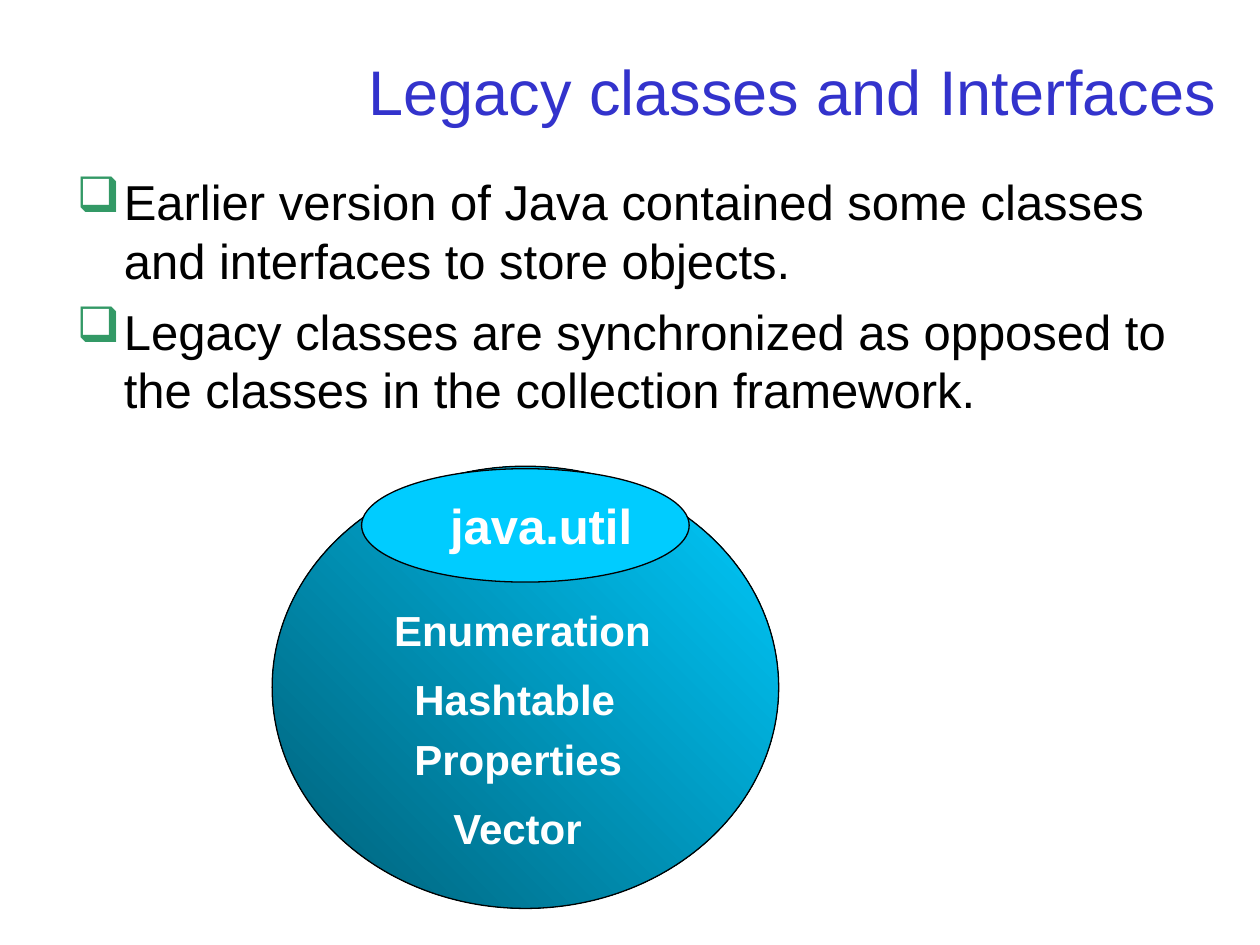
from dataclasses import dataclass

from lxml import etree
from pptx import Presentation
from pptx import util as u
from pptx.dml import color
from pptx.enum import shapes, text
from pptx.oxml import ns

FONT = "Arial"
COLOURS = {
    "title": "3333CC",
    "body": "000000",
    "bullet": "339966",
    "label": "FFFFFF",
    "outline": "000000",
    "deep": "005E76",
    "bright": "00CCFF",
}


@dataclass
class Frame:
    left: float
    top: float
    width: float
    height: float

    def lengths(self) -> list:
        return [u.Pt(v) for v in (self.left, self.top, self.width, self.height)]


@dataclass
class Caption:
    frame: Frame
    wording: str
    size: float
    colour: str
    bold: bool = False
    align: text.PP_ALIGN = text.PP_ALIGN.LEFT
    anchor: text.MSO_ANCHOR = text.MSO_ANCHOR.TOP


def rgb(name: str) -> color.RGBColor:
    return color.RGBColor.from_string(COLOURS[name])


def add_caption(page, caption: Caption):
    box = page.shapes.add_textbox(*caption.frame.lengths())
    frame = box.text_frame
    frame.word_wrap = True
    frame.vertical_anchor = caption.anchor
    frame.text = caption.wording
    for para in frame.paragraphs:
        para.alignment = caption.align
        for span in para.runs:
            span.font.name = FONT
            span.font.size = u.Pt(caption.size)
            span.font.bold = caption.bold
            span.font.color.rgb = rgb(caption.colour)
    return box


def add_bullets(box, indent: float, gap: float) -> None:
    for index, para in enumerate(box.text_frame.paragraphs):
        if index:
            para.space_before = u.Pt(gap)
        properties = para._p.get_or_add_pPr()
        properties.set("marL", str(u.Pt(indent)))
        properties.set("indent", str(-u.Pt(indent)))
        tint = etree.SubElement(properties, ns.qn("a:buClr"))
        etree.SubElement(tint, ns.qn("a:srgbClr"), val=COLOURS["bullet"])
        etree.SubElement(properties, ns.qn("a:buChar"), char="❑")


def add_ellipse(page, frame: Frame):
    ellipse = page.shapes.add_shape(shapes.MSO_SHAPE.OVAL, *frame.lengths())
    ellipse.shadow.inherit = False
    ellipse.line.color.rgb = rgb("outline")
    ellipse.line.width = u.Pt(0.75)
    return ellipse


def main() -> None:
    deck = Presentation()
    deck.slide_width, deck.slide_height = u.Pt(720), u.Pt(540)
    page = deck.slides.add_slide(deck.slide_layouts[6])

    add_caption(page, Caption(
        Frame(54, 20.16, 648, 62.64), "Legacy classes and Interfaces", 36, "title",
        align=text.PP_ALIGN.RIGHT, anchor=text.MSO_ANCHOR.MIDDLE))

    points = add_caption(page, Caption(
        Frame(36.72, 94.32, 648, 153.36),
        "Earlier version of Java contained some classes and interfaces to store objects.\n"
        "Legacy classes are synchronized as opposed to the classes in the collection framework.",
        28, "body"))
    add_bullets(points, indent=27, gap=7)

    package_body = add_ellipse(page, Frame(155.52, 266.4, 289.44, 252.72))
    package_body.fill.gradient()
    package_body.fill.gradient_angle = 45
    for stop, name in zip(package_body.fill.gradient_stops, ("deep", "bright")):
        stop.color.rgb = rgb(name)
    for stop, position in zip(package_body.fill.gradient_stops, (0, 1)):
        stop.position = position

    package_lid = add_ellipse(page, Frame(206.64, 267.84, 187.2, 64.8))
    package_lid.fill.solid()
    package_lid.fill.fore_color.rgb = rgb("bright")

    add_caption(page, Caption(
        Frame(246.96, 279.36, 124.56, 41.04), "java.util", 28, "label",
        bold=True, align=text.PP_ALIGN.CENTER))

    members = {
        "Enumeration": Frame(218.16, 342, 187.2, 36),
        "Hashtable": Frame(229.68, 381.6, 136.08, 36),
        "Properties": Frame(229.68, 415.44, 141.84, 36),
        "Vector": Frame(252, 455.04, 90.72, 36),
    }
    for member, frame in members.items():
        add_caption(page, Caption(frame, member, 24, "label", bold=True))

    deck.save("out.pptx")


if __name__ == "__main__":
    main()
